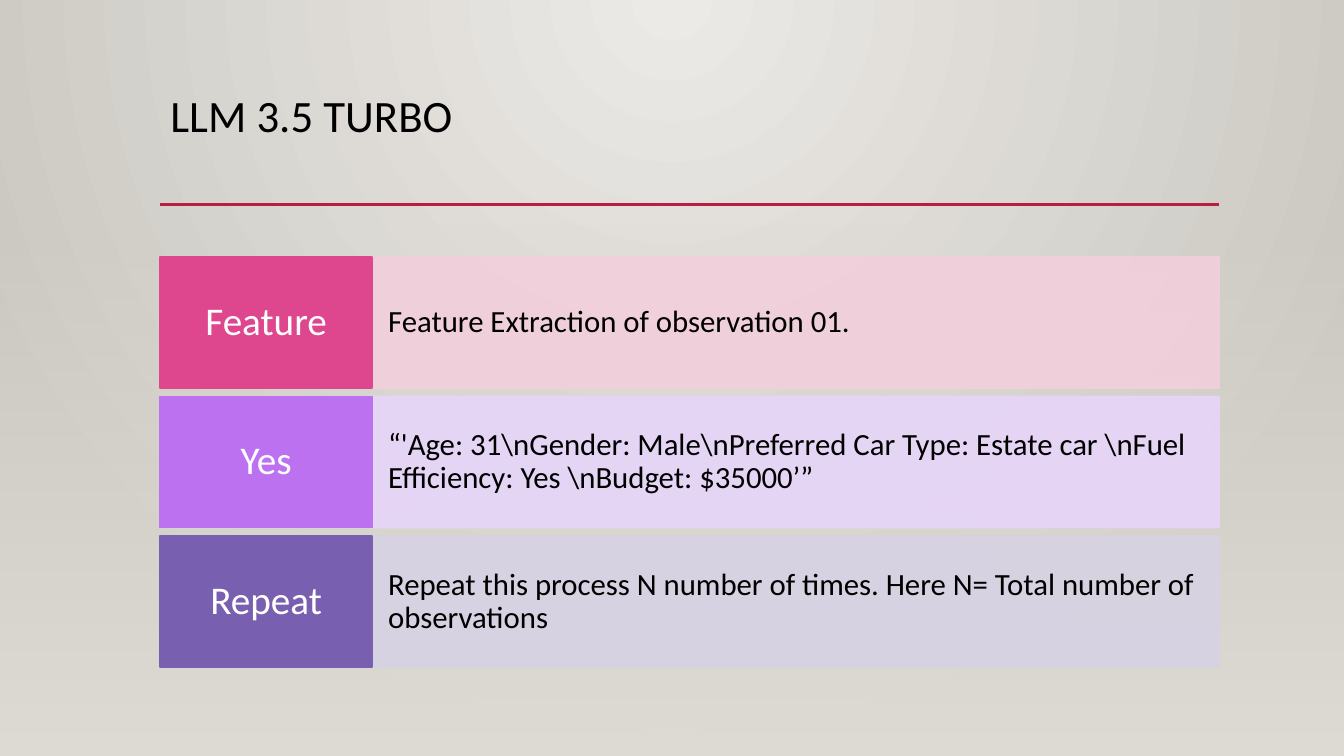
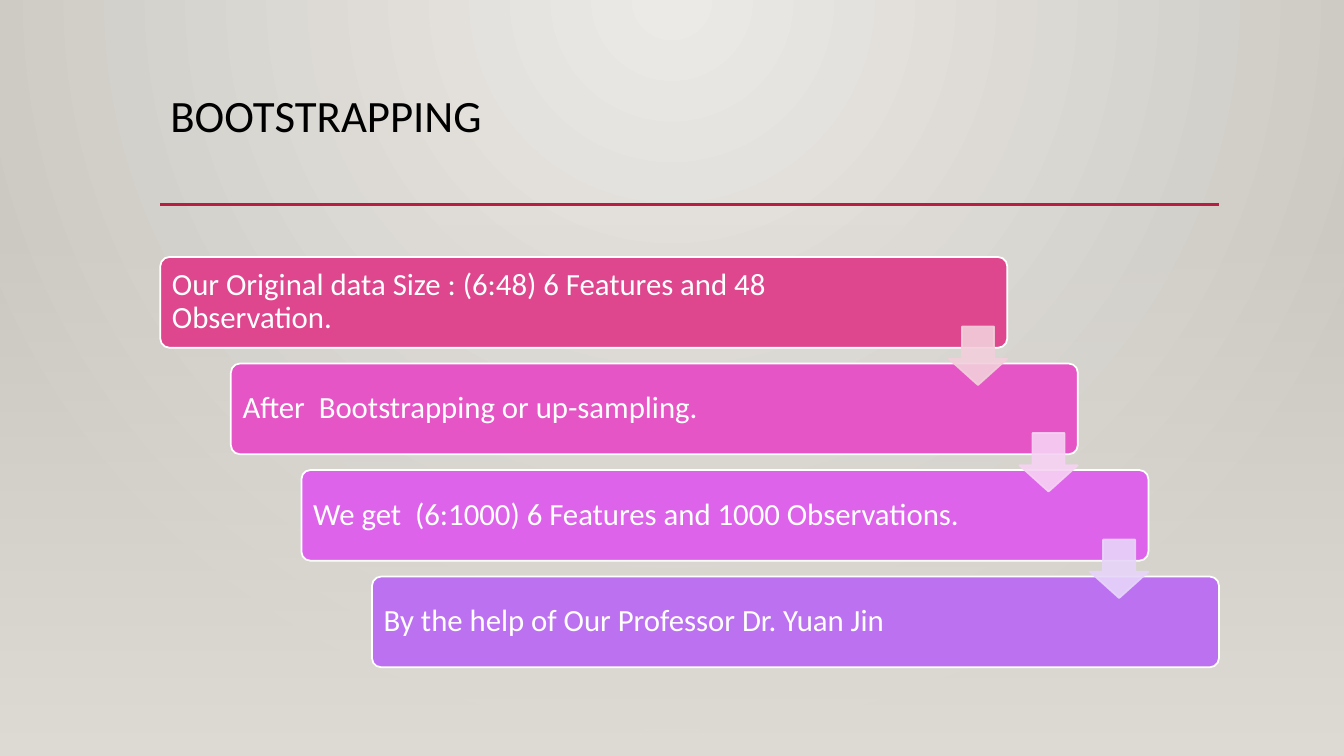
import pptx
import pptx.util
import pptx.dml.color
import pptx.enum.shapes
import pptx.enum.text
import pptx.oxml
import pptx.oxml.ns
from lxml import etree

Inches = pptx.util.Inches
Pt = pptx.util.Pt
SHAPE = pptx.enum.shapes.MSO_SHAPE
ALIGN = pptx.enum.text.PP_ALIGN
ANCHOR = pptx.enum.text.MSO_ANCHOR
qn = pptx.oxml.ns.qn

ROWS_TITLE = "LLM 3.5 TURBO"
ROWS = [
    ("Feature", "Feature Extraction of observation 01.", "pink", "pink_tint"),
    ("Yes", "“'Age: 31\\nGender: Male\\nPreferred Car Type: Estate car \\nFuel "
            "Efficiency: Yes \\nBudget: $35000’”", "lilac", "lilac_tint"),
    ("Repeat", "Repeat this process N number of times. Here N= Total number of observations",
     "violet", "violet_tint"),
]

STEPS_TITLE = "BOOTSTRAPPING"
STEPS = [
    ("Our Original data Size : (6:48) 6 Features and 48 Observation.", "pink"),
    ("After  Bootstrapping or up-sampling.", "magenta"),
    ("We get  (6:1000) 6 Features and 1000 Observations.", "orchid"),
    ("By the help of Our Professor Dr. Yuan Jin", "lilac"),
]
ARROWS = ["pink_tint", "orchid_tint", "lilac_tint"]

COLORS = {
    "light": "ECEAE7", "dark": "CAC7C1", "floor": "DFDBD5", "rule": "B71E42",
    "black": "000000", "white": "FFFFFF",
    "pink": "DE478E", "magenta": "E555C6", "orchid": "DD63EB",
    "lilac": "BC72F0", "violet": "795FAF",
    "pink_tint": "F2CFDB", "orchid_tint": "F6D2F3",
    "lilac_tint": "E7D5F9", "violet_tint": "D7D2E3",
}
FONT = "Calibri"
SLIDE_W, SLIDE_H = 13.33, 7.5
LEFT, WIDTH = 1.59, 10.5
TOP, HEIGHT = 2.55, 4.07
RULE_Y = 2.03
FADE_Y = 2.21


def rgb(name):
    return pptx.dml.color.RGBColor.from_string(COLORS[name])


def set_alpha(color_element, percent):
    alpha = etree.SubElement(color_element, qn("a:alpha"))
    alpha.set("val", str(percent * 1000))


def set_gradient(fill, names):
    fill.gradient()
    for stop, name in zip(fill.gradient_stops, names):
        stop.color.rgb = rgb(name)


def set_background(master):
    set_gradient(master.background.fill, ("light", "dark"))
    grad = master.element.cSld.find(".//" + qn("a:gradFill"))
    grad.remove(grad.find(qn("a:lin")))
    circle = etree.SubElement(grad, qn("a:path"), path="circle")
    etree.SubElement(circle, qn("a:fillToRect"), l="43000", t="0", r="43000", b="100000")


def set_text(tf, text, size, color, align=ALIGN.LEFT, anchor=ANCHOR.MIDDLE):
    tf.text = text
    tf.word_wrap = True
    tf.auto_size = pptx.enum.text.MSO_AUTO_SIZE.NONE
    tf.vertical_anchor = anchor
    p = tf.paragraphs[0]
    p.alignment = align
    p.line_spacing = 0.9
    font = p.runs[0].font
    font.name = FONT
    font.size = Pt(size)
    font.color.rgb = rgb(color)


def set_margins(tf, left, top, right, bottom):
    tf.margin_left, tf.margin_top = Inches(left), Inches(top)
    tf.margin_right, tf.margin_bottom = Inches(right), Inches(bottom)


def add_block(slide, kind, x, y, w, h, fill, line=None, opacity=100):
    sp = slide.shapes.add_shape(kind, Inches(x), Inches(y), Inches(w), Inches(h))
    sp.shadow.inherit = False
    sp.fill.solid()
    sp.fill.fore_color.rgb = rgb(fill)
    sp.line.color.rgb = rgb(line or fill)
    sp.line.width = Pt(1.25)
    if opacity < 100:
        for color in list(sp.element.spPr.iter(qn("a:srgbClr"))):
            set_alpha(color, opacity)
    return sp


def add_fade(slide):
    sp = slide.shapes.add_shape(SHAPE.RECTANGLE, 0, Inches(FADE_Y),
                                Inches(SLIDE_W), Inches(SLIDE_H - FADE_Y))
    sp.shadow.inherit = False
    sp.line.fill.background()
    set_gradient(sp.fill, ("floor", "floor"))
    sp.fill.gradient_angle = 270
    set_alpha(sp.element.spPr.find(".//" + qn("a:srgbClr")), 0)


def add_rule(slide):
    line = slide.shapes.add_connector(
        pptx.enum.shapes.MSO_CONNECTOR.STRAIGHT,
        Inches(LEFT), Inches(RULE_Y), Inches(LEFT + WIDTH), Inches(RULE_Y))
    line.line.color.rgb = rgb("rule")
    line.line.width = Pt(2.5)
    etree.SubElement(line.element.spPr, qn("a:effectLst"))


def add_slide(prs, title):
    slide = prs.slides.add_slide(prs.slide_layouts[5])
    sp = slide.shapes.title
    sp.left, sp.top = Inches(LEFT), Inches(0.88)
    sp.width, sp.height = Inches(WIDTH), Inches(1.15)
    set_text(sp.text_frame, title, 32, "black", anchor=ANCHOR.TOP)
    add_rule(slide)
    add_fade(slide)
    return slide


def add_rows(slide):
    label_w, row_h = WIDTH / 5, 1.3
    pitch = (HEIGHT - row_h) / (len(ROWS) - 1)
    for i, (label, detail, color, tint) in enumerate(ROWS):
        y = TOP + i * pitch
        sp = add_block(slide, SHAPE.RECTANGLE, LEFT + label_w, y, WIDTH - label_w, row_h,
                       tint, opacity=90)
        set_text(sp.text_frame, detail, 22, "black")
        set_margins(sp.text_frame, 0.16, 0.33, 0.16, 0.33)
        sp = add_block(slide, SHAPE.RECTANGLE, LEFT, y, label_w, row_h, color)
        set_text(sp.text_frame, label, 28, "white", ALIGN.CENTER)
        set_margins(sp.text_frame, 0.11, 0.13, 0.11, 0.13)


def add_steps(slide):
    bar_w, bar_h, arrow = 8.4, 0.9, 0.58
    gaps = len(STEPS) - 1
    dx, dy = (WIDTH - bar_w) / gaps, (HEIGHT - bar_h) / gaps
    for i, (text, color) in enumerate(STEPS):
        sp = add_block(slide, SHAPE.ROUNDED_RECTANGLE, LEFT + i * dx, TOP + i * dy,
                       bar_w, bar_h, color, "white")
        sp.adjustments[0] = 0.1
        set_text(sp.text_frame, text, 22, "white")
        set_margins(sp.text_frame, 0.09, 0.09, 1.08, 0.09)
    for i, tint in enumerate(ARROWS):
        sp = add_block(slide, SHAPE.DOWN_ARROW, LEFT + bar_w - arrow + i * dx,
                       TOP + 0.69 + i * dy, arrow, arrow, tint, opacity=90)
        sp.adjustments[0], sp.adjustments[1] = 0.55, 0.45


def main():
    prs = pptx.Presentation()
    prs.slide_width, prs.slide_height = Inches(SLIDE_W), Inches(SLIDE_H)
    set_background(prs.slide_master)
    add_rows(add_slide(prs, ROWS_TITLE))
    add_steps(add_slide(prs, STEPS_TITLE))
    prs.save("out.pptx")


if __name__ == "__main__":
    main()
